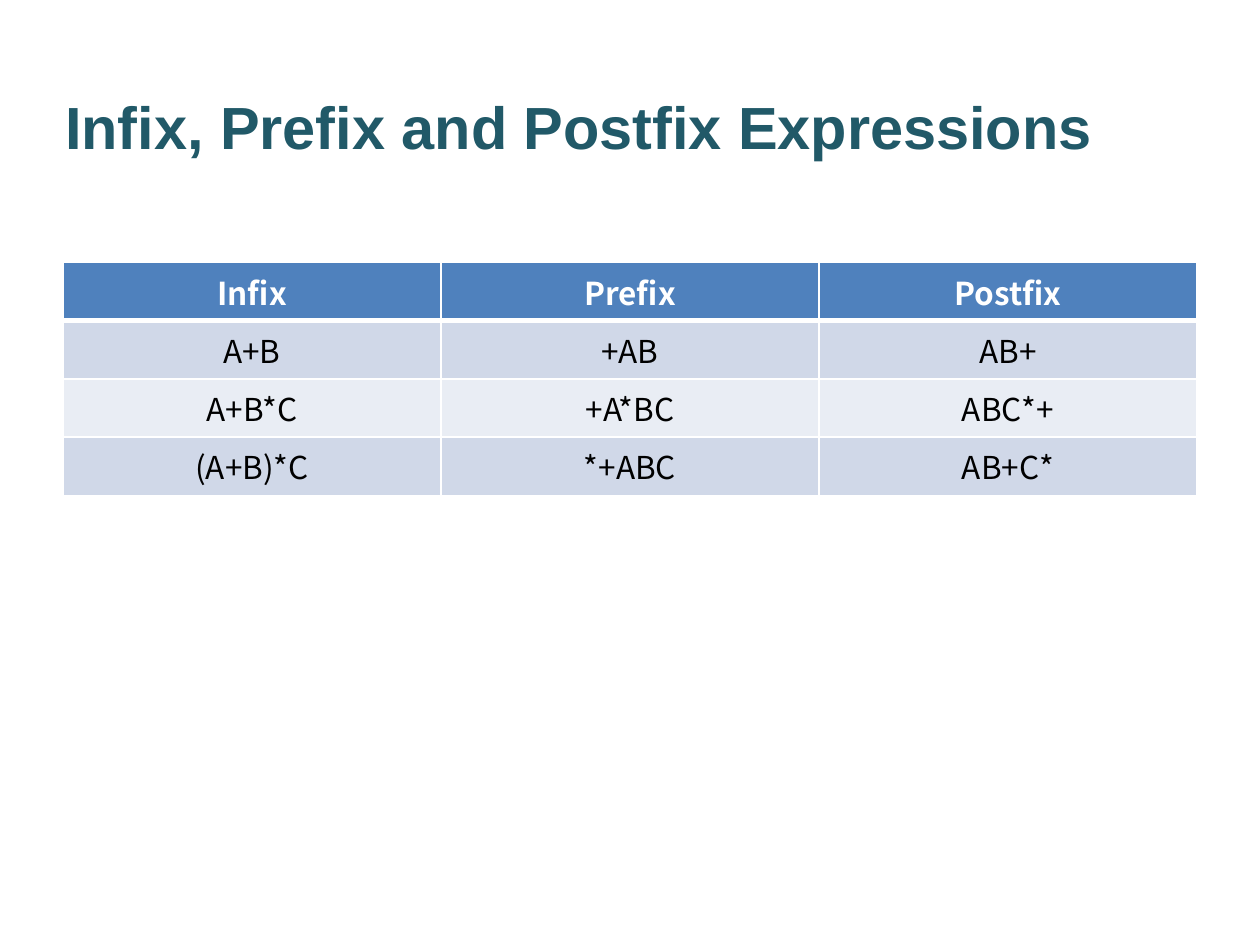
from lxml.etree import SubElement
from pptx import Presentation
from pptx.dml.color import RGBColor
from pptx.enum.text import MSO_ANCHOR, PP_ALIGN
from pptx.oxml.ns import qn
from pptx.util import Cm, Pt

ROWS = [
    ("Infix", "Prefix", "Postfix"),
    ("A+B", "+AB", "AB+"),
    ("A+B*C", "+A*BC", "ABC*+"),
    ("(A+B)*C", "*+ABC", "AB+C*"),
]


def color(code):
    return RGBColor.from_string(code)


def edge(cell, side, width, code):
    """Draw one border of a cell; side is L, R, T or B."""
    line = SubElement(cell._tc.get_or_add_tcPr(), qn(f"a:ln{side}"), w=str(Pt(width)))
    fill = SubElement(line, qn("a:solidFill"))
    SubElement(fill, qn("a:srgbClr"), val=code)


class Deck:
    head_font, cell_font = "Arial", "Noto Sans CJK KR"
    ink, dark, white = "215968", "000000", "FFFFFF"
    head, bands = "4F81BD", ("E9EDF4", "D0D8E8")

    def __init__(self, wide, high):
        self.file = Presentation()
        self.file.slide_width, self.file.slide_height = Cm(wide), Cm(high)
        self.slide = self.file.slides.add_slide(self.file.slide_layouts[5])

    def add_text(self, para, text, font, size, code, bold):
        run = para.add_run()
        run.text = text
        run.font.name, run.font.size, run.font.bold = font, Pt(size), bold
        run.font.color.rgb = color(code)

    def title(self, text, left, top, width, height):
        shape = self.slide.shapes.title
        shape.left, shape.top = Cm(left), Cm(top)
        shape.width, shape.height = Cm(width), Cm(height)
        frame = shape.text_frame
        frame.vertical_anchor = MSO_ANCHOR.MIDDLE
        para = frame.paragraphs[0]
        para.alignment = PP_ALIGN.LEFT
        self.add_text(para, text, self.head_font, 34, self.ink, True)

    def table(self, rows, left, top, width, row_high):
        frame = self.slide.shapes.add_table(
            len(rows), len(rows[0]), Cm(left), Cm(top), Cm(width), Cm(row_high * len(rows)))
        for r, row in enumerate(rows):
            for c, text in enumerate(row):
                self.cell(frame.table.cell(r, c), text, r)

    def cell(self, cell, text, row):
        first = row == 0
        widths = {"L": 1, "R": 1, "T": 3 if row == 1 else 1, "B": 3 if first else 1}
        for side, width in widths.items():
            edge(cell, side, width, self.white)
        cell.fill.solid()
        cell.fill.fore_color.rgb = color(self.head if first else self.bands[row % 2])
        para = cell.text_frame.paragraphs[0]
        para.alignment = PP_ALIGN.CENTER
        self.add_text(para, text, self.cell_font, 18, self.white if first else self.dark, first)


def main():
    deck = Deck(25.4, 19.05)
    deck.title("Infix, Prefix and Postfix Expressions", 1.06, 1.06, 21.8, 2.96)
    deck.table(ROWS, 1.27, 5.29, 22.86, 1.03)
    deck.file.save("out.pptx")


if __name__ == "__main__":
    main()
